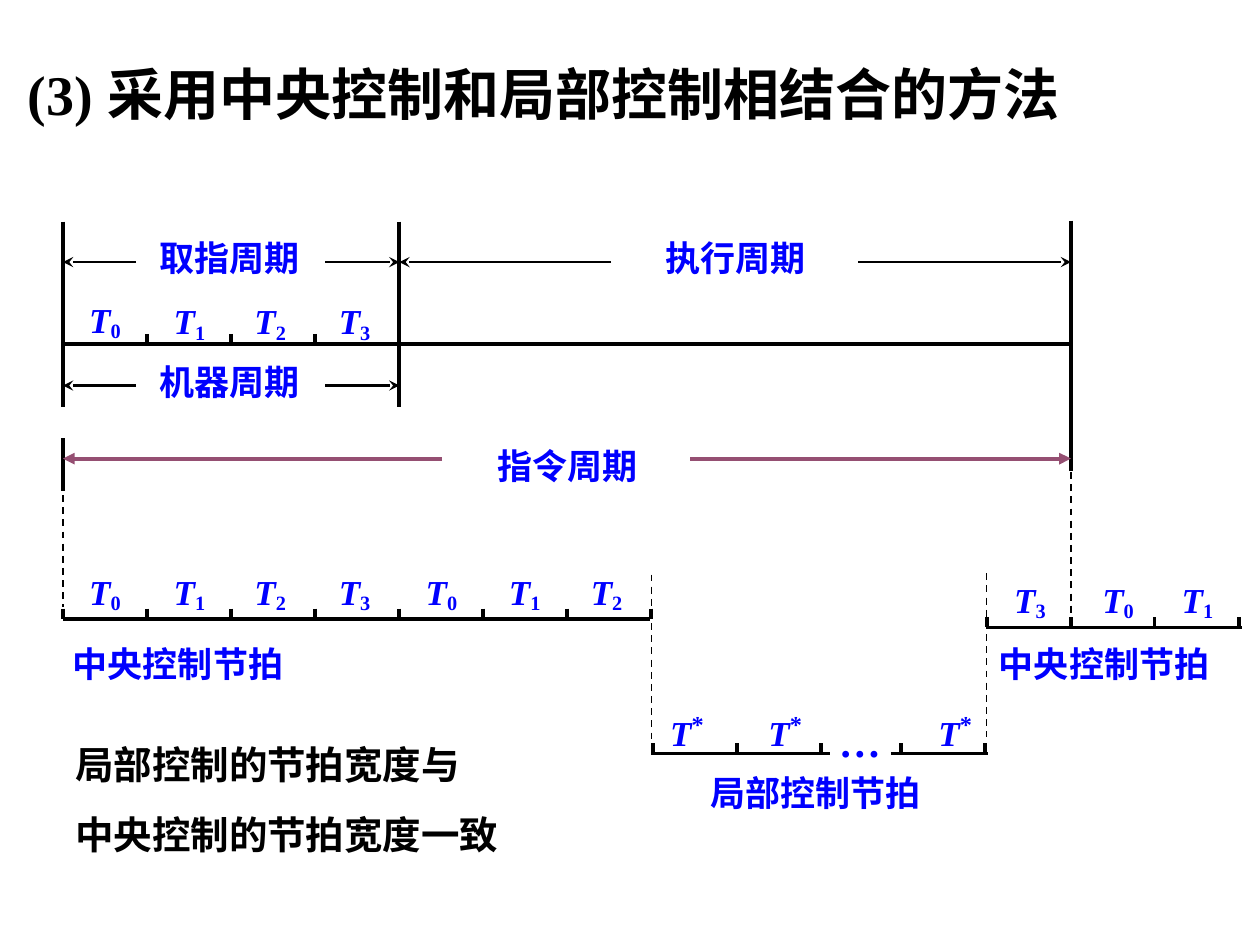
import dataclasses

import pptx
import pptx.dml.color
import pptx.enum.dml
import pptx.enum.shapes
import pptx.enum.text
import pptx.oxml.ns
import pptx.util
from lxml import etree

Inches = pptx.util.Inches


@dataclasses.dataclass(frozen=True)
class Theme:
    font: str = "Times New Roman"
    black: str = "000000"
    blue: str = "0000FF"
    plum: str = "954F72"
    title: int = 32
    note: int = 22
    label: int = 20
    mark: int = 24
    bold_line: float = 2.25
    arrow_line: float = 1.5
    dash_line: float = 1


THEME = Theme()
ORIGIN, STEP = 0.5, 2 / 3
FETCH_END, CYCLE_END = 3.17, 8.5


def rgb(value):
    return pptx.dml.color.RGBColor.from_string(value)


def add_run(p, text, size=THEME.label, color=THEME.blue, italic=False, baseline=0):
    r = p.add_run()
    r.text = text
    r.font.name = THEME.font
    r.font.size = pptx.util.Pt(size)
    r.font.bold = True
    r.font.italic = italic
    r.font.color.rgb = rgb(color)
    if baseline:
        r._r.get_or_add_rPr().set("baseline", str(baseline * 1000))


def format_frame(tf, wrap=False):
    tf.word_wrap = wrap
    tf.auto_size = pptx.enum.text.MSO_AUTO_SIZE.SHAPE_TO_FIT_TEXT
    tf.vertical_anchor = pptx.enum.text.MSO_ANCHOR.TOP


def add_box(slide, x, y, w, h, wrap=False):
    sp = slide.shapes.add_textbox(Inches(x), Inches(y), Inches(w), Inches(h))
    format_frame(sp.text_frame, wrap)
    return sp.text_frame


def add_text(slide, text, x, y, w, h=0.44, wrap=False, space=0, **fmt):
    tf = add_box(slide, x, y, w, h, wrap)
    for i, line in enumerate(text.split("\n")):
        p = tf.paragraphs[0] if i == 0 else tf.add_paragraph()
        if i:
            p.space_before = pptx.util.Pt(space)
        add_run(p, line, **fmt)


def add_beat(slide, index, x, y):
    local = index == "*"
    w, h = (0.6, 0.5) if local else (0.45, 0.45)
    p = add_box(slide, x, y, w, h, wrap=local).paragraphs[0]
    add_run(p, "T", italic=True)
    if local:
        add_run(p, index, size=THEME.mark, baseline=30)
    else:
        add_run(p, index, baseline=-15)


def add_line(slide, x1, y1, x2, y2, width=THEME.bold_line, color=THEME.black, head=None, dashed=False):
    cx = slide.shapes.add_connector(
        pptx.enum.shapes.MSO_CONNECTOR.STRAIGHT, Inches(x1), Inches(y1), Inches(x2), Inches(y2))
    cx.line.width = pptx.util.Pt(width)
    cx.line.color.rgb = rgb(color)
    if dashed:
        cx.line.dash_style = pptx.enum.dml.MSO_LINE.DASH
    if head:
        ln = cx.line._get_or_add_ln()
        etree.SubElement(ln, pptx.oxml.ns.qn("a:tailEnd"), type=head)
    etree.SubElement(cx._element.spPr, pptx.oxml.ns.qn("a:effectLst"))


def add_axis(slide, x1, x2, y, ticks):
    add_line(slide, x1, y, x2, y)
    for x in ticks:
        add_line(slide, x, y - 0.08, x, y)


def add_title(slide):
    sp = slide.shapes.title
    sp.left, sp.top, sp.width, sp.height = Inches(0.12), Inches(0.42), Inches(8.7), Inches(0.64)
    format_frame(sp.text_frame, wrap=True)
    p = sp.text_frame.paragraphs[0]
    p.alignment = pptx.enum.text.PP_ALIGN.LEFT
    add_run(p, "(3) 采用中央控制和局部控制相结合的方法", size=THEME.title, color=THEME.black)


def add_cycles(slide):
    add_axis(slide, ORIGIN, CYCLE_END, 2.73, [ORIGIN + i * STEP for i in (1, 2, 3)])
    for x, top, bottom in ((ORIGIN, 1.76, 3.23), (FETCH_END, 1.76, 3.23),
                           (CYCLE_END, 1.75, 3.74), (ORIGIN, 3.48, 3.9)):
        add_line(slide, x, top, x, bottom)
    spans = (
        ("取指周期", 1.17, 1.83, 2.08, ORIGIN, 1.08, 2.58, FETCH_END),
        ("机器周期", 1.17, 2.81, 3.06, ORIGIN, 1.08, 2.58, FETCH_END),
        ("执行周期", 5.18, 1.83, 2.08, FETCH_END, 4.85, 6.81, CYCLE_END),
        ("指令周期", 3.85, 3.48, 3.64, ORIGIN, 3.51, 5.48, CYCLE_END),
    )
    for text, x, top, y, start, inner_left, inner_right, end in spans:
        if text == "指令周期":
            style = dict(width=THEME.bold_line, color=THEME.plum, head="triangle")
        else:
            style = dict(width=THEME.arrow_line, head="stealth")
        add_line(slide, inner_left, y, start, y, **style)
        add_line(slide, inner_right, y, end, y, **style)
        add_text(slide, text, x, top, 1.31)


def add_beats(slide):
    beat_lefts = (0.61, 1.28, 1.92, 2.59, 3.28, 3.94, 4.59)
    for index, x in zip("0123", beat_lefts):
        add_beat(slide, index, x, 2.32 if index == "0" else 2.33)
    for index, x in zip("0123012", beat_lefts):
        add_beat(slide, index, x, 4.48)
    for index, x in zip("301", (7.95, 8.65, 9.28)):
        add_beat(slide, index, x, 4.54)
    for x in (5.22, 6, 7.35):
        add_beat(slide, "*", x, 5.54)


def add_controls(slide):
    for x, top, bottom in ((5.17, 4.56, 5.87), (7.83, 4.55, 5.85),
                           (CYCLE_END, 3.65, 4.89), (ORIGIN, 3.64, 4.82)):
        add_line(slide, x, top, x, bottom, width=THEME.dash_line, dashed=True)
    add_axis(slide, ORIGIN, 5.16, 4.91, [ORIGIN + i * STEP for i in range(8)])
    add_axis(slide, 7.83, 9.86, 4.98, [7.83 + i * STEP for i in range(4)])
    add_axis(slide, 5.17, 6.59, 5.98, [5.18 + i * STEP for i in range(3)])
    add_axis(slide, 7.07, 7.84, 5.98, [7.15 + i * STEP for i in range(2)])
    for text, x, y in (("中央控制节拍", 0.48, 5.05), ("中央控制节拍", 7.83, 5.05),
                       ("局部控制节拍", 5.54, 6.07)):
        add_text(slide, text, x, y, 1.87)
    add_text(slide, "…", 6.56, 5.63, 0.79, 0.5, wrap=True, size=THEME.mark)


def main():
    prs = pptx.Presentation()
    prs.slide_width, prs.slide_height = Inches(10), Inches(7.5)
    slide = prs.slides.add_slide(prs.slide_layouts[5])
    add_title(slide)
    add_controls(slide)
    add_cycles(slide)
    add_beats(slide)
    add_text(slide, "局部控制的节拍宽度与\n中央控制的节拍宽度一致", 0.5, 5.83, 4.92, 1.03,
             wrap=True, space=13.8, size=THEME.note, color=THEME.black)
    prs.save("out.pptx")


if __name__ == "__main__":
    main()
